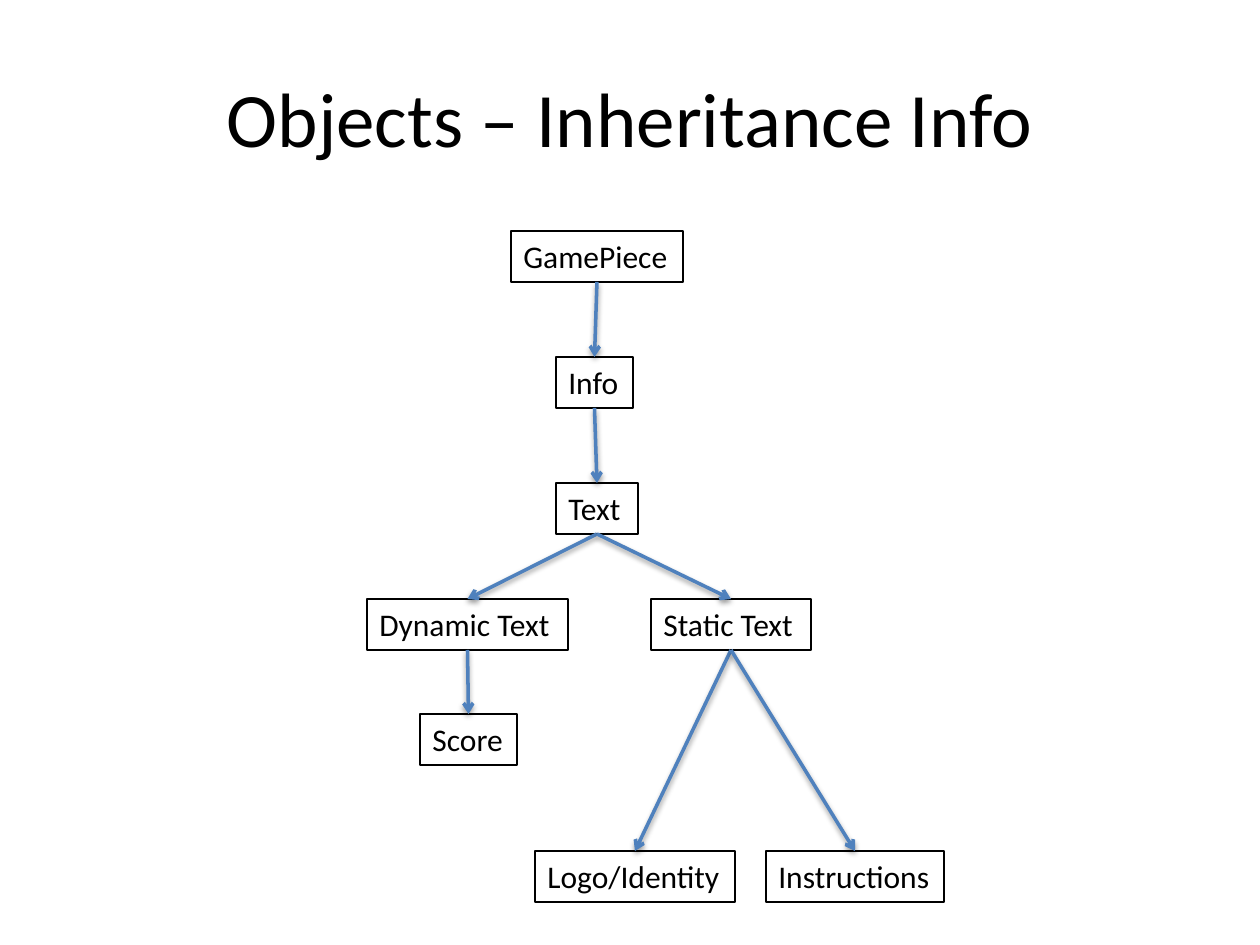
import pptx
import pptx.dml.color
import pptx.enum.shapes
import pptx.enum.text
import pptx.oxml
import pptx.oxml.ns
import pptx.util

PIXEL = 914400 / 126
BLACK = pptx.dml.color.RGBColor(0x00, 0x00, 0x00)
BLUE = pptx.dml.color.RGBColor(0x4F, 0x81, 0xBD)
FONT = "Calibri"
BOX_HEIGHT = 51

# Class name: left, top, width
CLASSES = {
    "GamePiece": (511, 231, 172),
    "Info": (556, 357, 77),
    "Text": (556, 483, 82),
    "Dynamic Text": (367, 599, 201),
    "Static Text": (651, 599, 160),
    "Score": (420, 714, 97),
    "Logo/Identity": (535, 851, 200),
    "Instructions": (766, 851, 178),
}

# Parent class, child class
INHERITANCE = [
    ("GamePiece", "Info"),
    ("Info", "Text"),
    ("Text", "Dynamic Text"),
    ("Text", "Static Text"),
    ("Dynamic Text", "Score"),
    ("Static Text", "Logo/Identity"),
    ("Static Text", "Instructions"),
]

SHADOW = (
    f'<a:effectLst {pptx.oxml.ns.nsdecls("a")}>'
    '<a:outerShdw blurRad="40000" dist="20000" dir="5400000" rotWithShape="0">'
    '<a:srgbClr val="000000"><a:alpha val="38000"/></a:srgbClr>'
    '</a:outerShdw></a:effectLst>'
)
ARROWHEAD = f'<a:tailEnd {pptx.oxml.ns.nsdecls("a")} type="arrow"/>'


def px(length):
    return pptx.util.Emu(round(length * PIXEL))


def style_text(paragraph, size):
    paragraph.font.name = FONT
    paragraph.font.size = pptx.util.Pt(size)
    paragraph.font.color.rgb = BLACK


def set_title(slide, text):
    title = slide.shapes.title
    title.left, title.top, title.width, title.height = map(px, (63, 38, 1134, 158))
    title.text_frame.text = text
    title.text_frame.vertical_anchor = pptx.enum.text.MSO_ANCHOR.MIDDLE
    heading = title.text_frame.paragraphs[0]
    heading.alignment = pptx.enum.text.PP_ALIGN.CENTER
    style_text(heading, 44)


def add_class_box(slide, name, left, top, width):
    box = slide.shapes.add_textbox(px(left), px(top), px(width), px(BOX_HEIGHT))
    box.line.color.rgb = BLACK
    box.line.width = pptx.util.Pt(0.75)
    frame = box.text_frame
    frame.text = name
    frame.word_wrap = False
    frame.auto_size = pptx.enum.text.MSO_AUTO_SIZE.SHAPE_TO_FIT_TEXT
    style_text(frame.paragraphs[0], 18)
    return box


def add_inheritance_arrow(slide, parent, child):
    arrow = slide.shapes.add_connector(
        pptx.enum.shapes.MSO_CONNECTOR.STRAIGHT, 0, 0, 0, 0)
    # Bottom middle of the parent to top middle of the child
    arrow.begin_connect(parent, 2)
    arrow.end_connect(child, 0)
    arrow.line.color.rgb = BLUE
    arrow.line.width = pptx.util.Pt(2)
    arrow.line._get_or_add_ln().append(pptx.oxml.parse_xml(ARROWHEAD))
    arrow._element.spPr.append(pptx.oxml.parse_xml(SHADOW))


def main():
    deck = pptx.Presentation()
    deck.slide_width = pptx.util.Inches(10)
    deck.slide_height = pptx.util.Inches(7.5)
    slide = deck.slides.add_slide(deck.slide_layouts.get_by_name("Title Only"))

    set_title(slide, "Objects \u2013 Inheritance Info")

    # Class boxes, then the arrows between them
    boxes = {name: add_class_box(slide, name, *place)
             for name, place in CLASSES.items()}
    for parent, child in INHERITANCE:
        add_inheritance_arrow(slide, boxes[parent], boxes[child])

    deck.save("out.pptx")


main()
